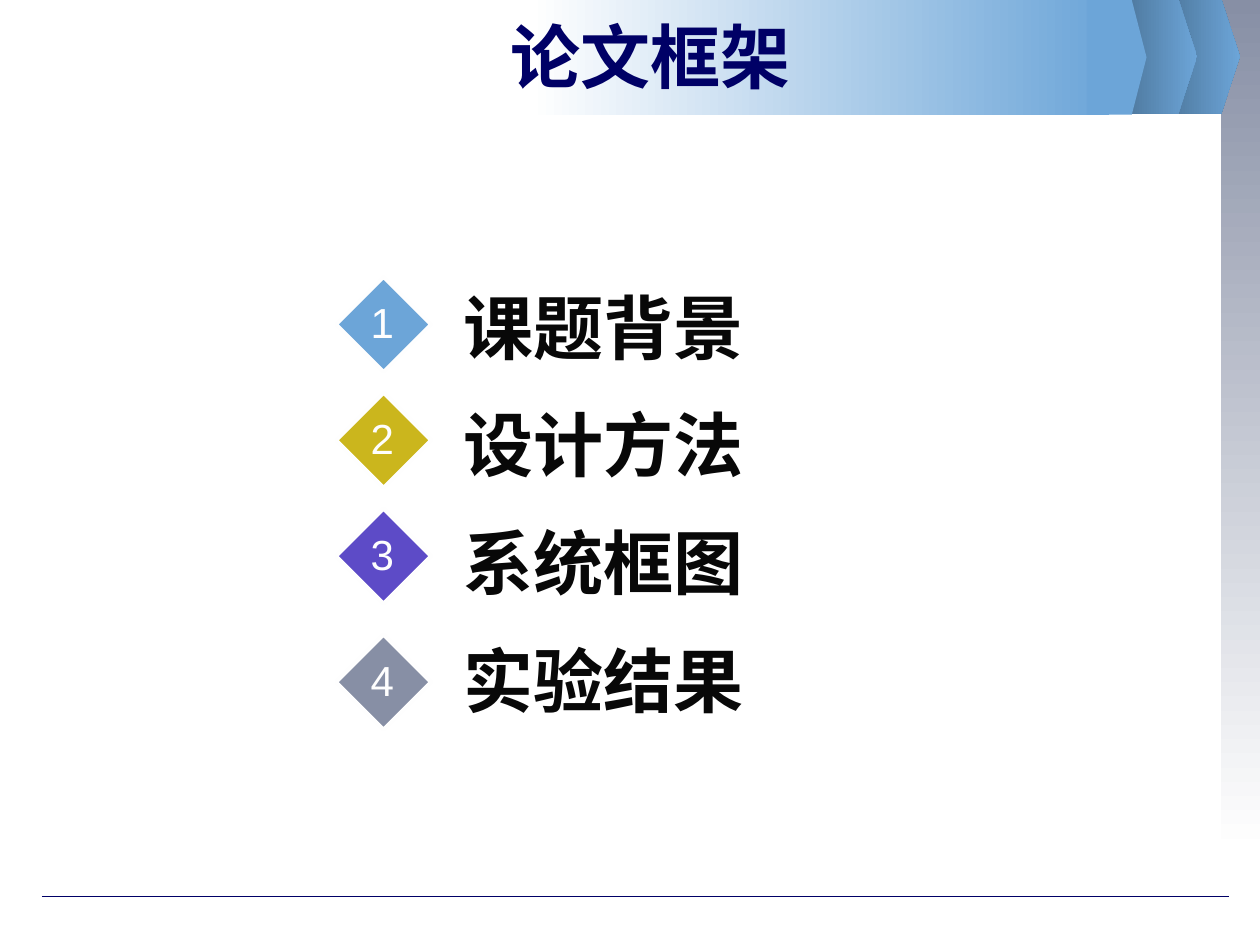
from dataclasses import dataclass

from lxml.etree import SubElement
from pptx import Presentation
from pptx.dml.color import RGBColor
from pptx.enum.shapes import MSO_CONNECTOR, MSO_SHAPE
from pptx.enum.text import MSO_ANCHOR, MSO_AUTO_SIZE, PP_ALIGN
from pptx.oxml.ns import qn
from pptx.util import Pt


@dataclass(frozen=True)
class Theme:
    white: str = "FFFFFF"
    pale: str = "FEFEFE"
    navy: str = "000066"
    ink: str = "080808"
    blue: str = "6CA5D8"
    steel: str = "4D769B"
    gold: str = "CBB61D"
    violet: str = "5D4BC7"
    slate: str = "878FA5"
    heading_font: str = "Times New Roman"
    number_font: str = "Arial"
    heading_size: int = 40
    number_size: int = 24


class SlideBuilder:
    def __init__(self, page, theme):
        self.page = page
        self.theme = theme

    def place(self, item, bounds):
        for name, value in zip(("left", "top", "width", "height"), bounds):
            setattr(item, name, Pt(value))

    def shape(self, kind, bounds, fill, angle=0, outline=None):
        """Add a preset shape; a pair of colours makes a gradient fill."""
        item = self.page.shapes.add_shape(kind, *map(Pt, bounds))
        item.shadow.inherit = False
        if isinstance(fill, tuple):
            item.fill.gradient()
            item.fill.gradient_angle = angle
            for stop, colour in zip(item.fill.gradient_stops, fill):
                stop.color.rgb = RGBColor.from_string(colour)
        else:
            item.fill.solid()
            item.fill.fore_color.rgb = RGBColor.from_string(fill)
        if outline:
            item.line.color.rgb = RGBColor.from_string(outline)
            item.line.width = Pt(2)
        else:
            item.line.fill.background()
        if kind == MSO_SHAPE.PENTAGON:
            item.adjustments[0] = 0.25
        return item

    def rule(self, start, end, colour, width):
        line = self.page.shapes.add_connector(
            MSO_CONNECTOR.STRAIGHT, *map(Pt, start + end))
        line.line.color.rgb = RGBColor.from_string(colour)
        line.line.width = Pt(width)
        properties = line.element.find(qn("p:spPr"))
        SubElement(properties, qn("a:effectLst"))

    def set_text(self, box, lines, colour, font, size, bold, frame, layout):
        for name, value in frame.items():
            setattr(box.text_frame, name, value)
        box.text_frame.text = "\n".join(lines)
        characters = {"name": font, "size": Pt(size), "bold": bold}
        for para in box.text_frame.paragraphs:
            for name, value in layout.items():
                setattr(para, name, value)
            for span in para.runs:
                for name, value in characters.items():
                    setattr(span.font, name, value)
                span.font.color.rgb = RGBColor.from_string(colour)

    def heading(self, box, bounds, lines, colour, frame, layout):
        """Fill a template placeholder and bring it to the front."""
        self.place(box, bounds)
        self.set_text(box, lines, colour, self.theme.heading_font,
                      self.theme.heading_size, True, frame, layout)
        self.page.shapes.element.append(box.element)

    def title(self, text, bounds):
        self.heading(self.page.shapes.title, bounds, [text], self.theme.navy,
                     {"vertical_anchor": MSO_ANCHOR.MIDDLE,
                      "auto_size": MSO_AUTO_SIZE.NONE},
                     {"alignment": PP_ALIGN.CENTER})

    def topics(self, lines, bounds):
        box = self.page.placeholders[1]
        self.heading(box, bounds, lines, self.theme.ink,
                     {"vertical_anchor": MSO_ANCHOR.TOP, "word_wrap": True,
                      "auto_size": MSO_AUTO_SIZE.SHAPE_TO_FIT_TEXT},
                     {"line_spacing": 1.4, "space_before": Pt(0)})
        for para in box.text_frame.paragraphs:
            properties = para._p.get_or_add_pPr()
            properties.set("marL", "0")
            properties.set("indent", "0")
            SubElement(properties, qn("a:buNone"))

    def badge(self, number, left, top, colour):
        self.shape(MSO_SHAPE.DIAMOND, (left, top, 54, 54), colour,
                   outline=self.theme.pale)
        box = self.page.shapes.add_textbox(
            *map(Pt, (left + 12.3, top + 7.6, 28, 36)))
        self.set_text(box, [str(number)], self.theme.pale,
                      self.theme.number_font, self.theme.number_size, False,
                      {"word_wrap": False,
                       "auto_size": MSO_AUTO_SIZE.SHAPE_TO_FIT_TEXT},
                      {"alignment": PP_ALIGN.CENTER})


def main():
    theme = Theme()
    deck = Presentation()
    deck.slide_width, deck.slide_height = Pt(720), Pt(540)
    builder = SlideBuilder(deck.slides.add_slide(deck.slide_layouts[1]), theme)

    # Side band and footer rule
    builder.shape(MSO_SHAPE.RECTANGLE, (697.7, 0, 22.3, 487.4),
                  (theme.slate, theme.white), angle=270)
    builder.rule((24, 512.5), (702, 512.5), theme.navy, 0.75)

    # Header banner with its arrow-shaped end
    for left in (666, 641.5):
        builder.shape(MSO_SHAPE.PENTAGON, (left, -0.5, 42.5, 65.5),
                      (theme.steel, theme.blue))
    builder.shape(MSO_SHAPE.RECTANGLE, (303, 0, 331, 65.5),
                  (theme.white, theme.blue))
    builder.shape(MSO_SHAPE.PENTAGON, (621.4, 0, 33.8, 65.5), theme.blue)
    builder.title("论文框架", (90, 8.6, 563.8, 46.8))

    # Numbered topics
    builder.topics(["课题背景", "设计方法", "系统框图", "实验结果"],
                   (257.8, 139.7, 270, 278.6))
    tops = (158.4, 224.6, 290.8, 362.8)
    colours = (theme.blue, theme.gold, theme.violet, theme.slate)
    for number, (top, colour) in enumerate(zip(tops, colours), 1):
        builder.badge(number, 192.2, top, colour)

    deck.save("out.pptx")


if __name__ == "__main__":
    main()
